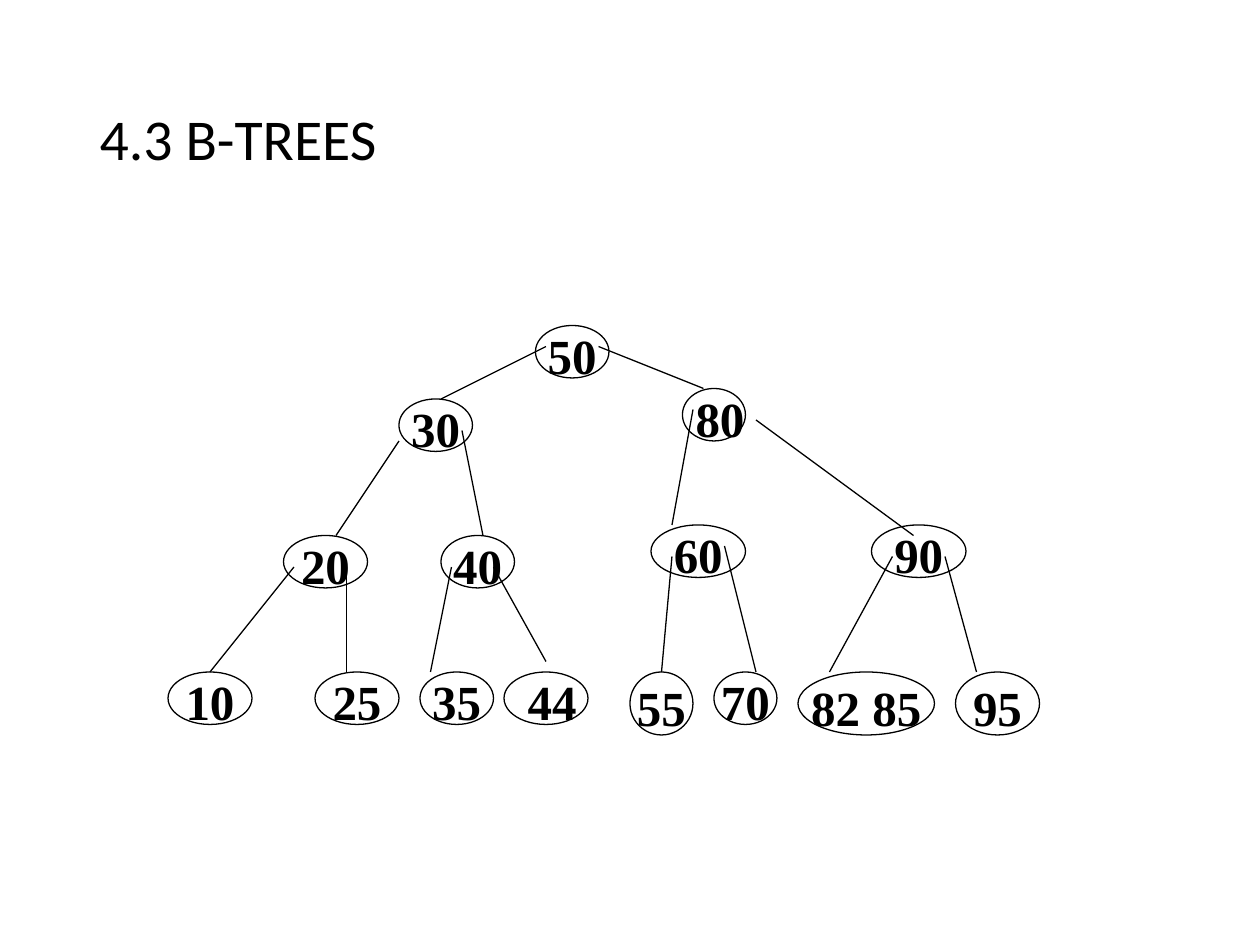
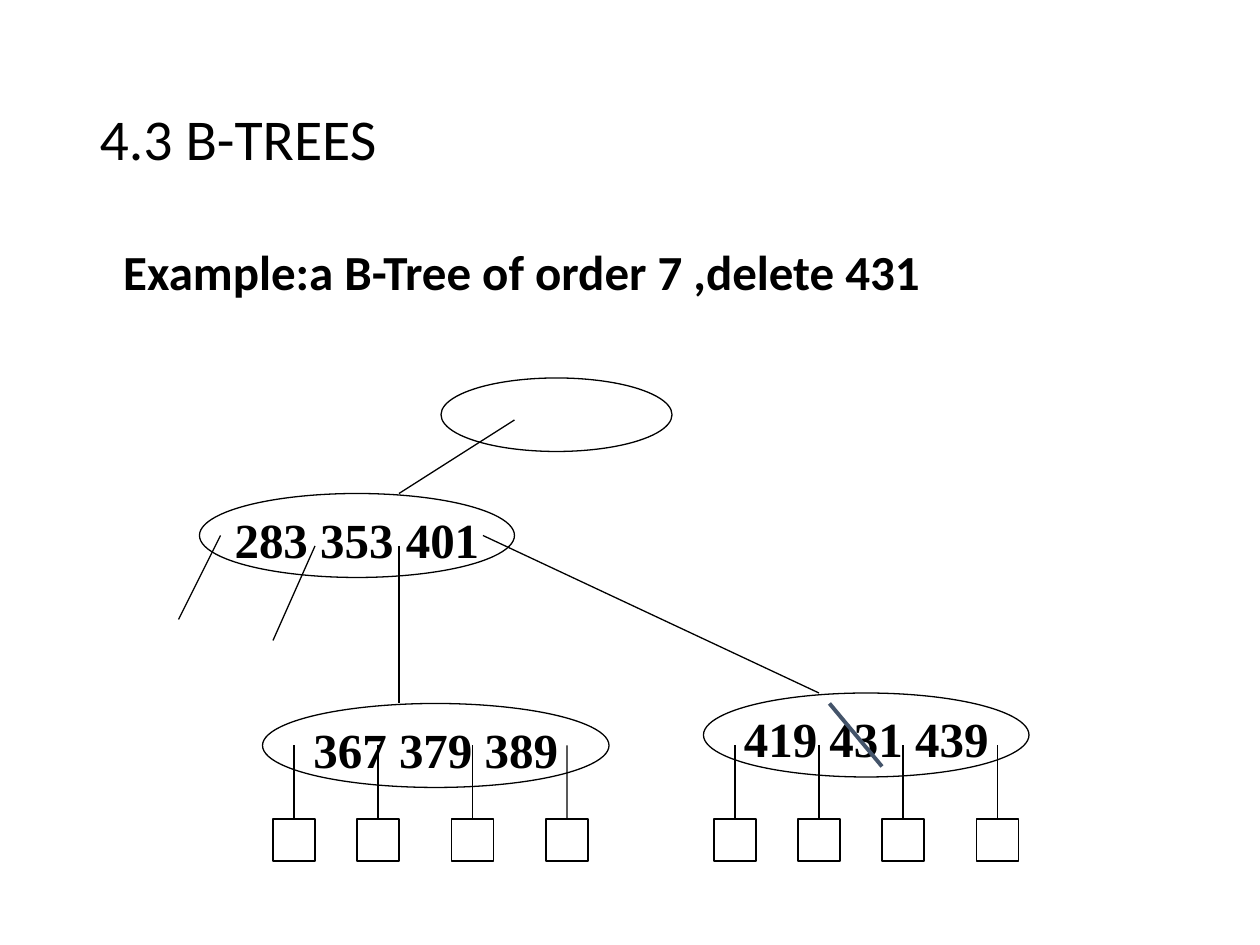
from lxml import etree
from pptx import Presentation
from pptx import util as u
from pptx.dml.color import RGBColor
from pptx.enum import shapes, text
from pptx.oxml.ns import qn

COLORS = {"ink": "000000", "strike": "44546A"}
BODY, SERIF = "Calibri", "Times New Roman"
TITLE = "4.3 B-TREES"


def grid(*vals):
    return [u.Inches(val / 12) for val in vals]


def write(frame, words, font=BODY, size=28, bold=False, color="ink",
          align=text.PP_ALIGN.LEFT, anchor=text.MSO_ANCHOR.MIDDLE,
          wrap=True, space=1.0):
    frame.auto_size = text.MSO_AUTO_SIZE.NONE
    frame.word_wrap = wrap
    frame.vertical_anchor = anchor
    para = frame.paragraphs[0]
    para.alignment = align
    para.line_spacing = space
    run = para.add_run()
    run.text = words
    run.font.name = font
    run.font.size = u.Pt(size)
    run.font.bold = bold
    run.font.color.rgb = RGBColor.from_string(COLORS[color])


class Deck:
    def __init__(self):
        self.prs = Presentation()
        self.prs.slide_width = u.Inches(10)
        self.prs.slide_height = u.Inches(7.5)
        self.slide = None

    def page(self, title):
        self.slide = self.prs.slides.add_slide(self.prs.slide_layouts[5])
        head = self.slide.shapes.title
        head.left, head.top = u.Inches(0.69), u.Inches(0.4)
        head.width, head.height = u.Inches(8.63), u.Inches(1.45)
        write(head.text_frame, title, size=33, space=0.9)

    def stroke(self, line, color="ink", width=0.75):
        line.color.rgb = RGBColor.from_string(COLORS[color])
        line.width = u.Pt(width)

    def shape(self, kind, *place):
        item = self.slide.shapes.add_shape(kind, *grid(*place))
        item.shadow.inherit = False
        item.fill.background()
        self.stroke(item.line)
        return item

    def node(self, words, *place):
        oval = self.shape(shapes.MSO_SHAPE.OVAL, *place)
        if words:
            frame = oval.text_frame
            frame.margin_top = u.Inches(0.1)
            frame.margin_bottom = u.Inches(0.05)
            write(frame, words, font=SERIF, bold=True, wrap=False,
                  align=text.PP_ALIGN.CENTER)

    def box(self, mid, top, side=4):
        return self.shape(shapes.MSO_SHAPE.RECTANGLE,
                          mid - side / 2, top, side, side)

    def link(self, *ends, color="ink", width=0.75):
        line = self.slide.shapes.add_connector(
            shapes.MSO_CONNECTOR.STRAIGHT, *grid(*ends))
        self.stroke(line.line, color, width)
        etree.SubElement(line._element.spPr, qn("a:effectLst"))
        return line

    def label(self, words, left, top, width, height):
        area = self.slide.shapes.add_textbox(
            u.Inches(left), u.Inches(top), u.Inches(width), u.Inches(height))
        write(area.text_frame, words, bold=True, space=0.9,
              anchor=text.MSO_ANCHOR.TOP)

    def tree(self, nodes, links):
        for node in nodes:
            self.node(*node)
        for ends in links:
            self.link(*ends)


def draw_full(deck):
    deck.page(TITLE)
    nodes = [
        ("50", 51, 31, 7, 5),
        ("30", 38, 38, 7, 5), (" 80", 65, 37, 6, 5),
        ("20", 27, 51, 8, 5), ("40", 42, 51, 7, 5),
        ("60", 62, 50, 9, 5), ("90", 83, 50, 9, 5),
    ]
    leaves = [
        ("10", 16, 8, 5), ("25", 30, 8, 5), ("35", 40, 7, 5),
        (" 44", 48, 8, 5), ("55", 60, 6, 6), ("70", 68, 6, 5),
        ("82 85", 76, 13, 6), ("95", 91, 8, 6),
    ]
    nodes += [(key, left, 64, wide, high) for key, left, wide, high in leaves]
    links = [
        (52, 33, 42, 38), (57, 33, 67, 37),
        (38, 42, 32, 51), (44, 41, 46, 51),
        (66, 39, 64, 50), (72, 40, 87, 51),
        (28, 54, 20, 64), (33, 54, 33, 64),
        (43, 54, 41, 64), (47, 54, 52, 63),
        (64, 53, 63, 64), (69, 52, 72, 64),
        (85, 53, 79, 64), (90, 53, 93, 64),
    ]
    deck.tree(nodes, links)


def draw_delete(deck):
    deck.page(TITLE)
    deck.label("Example:a B-Tree of order 7 ,delete 431", 0.88, 1.92, 8.37, 0.6)
    nodes = [
        ("", 42, 36, 22, 7),
        ("283 353 401", 19, 47, 30, 8),
        ("367 379 389", 25, 67, 33, 8),
        ("419 431 439", 67, 66, 31, 8),
    ]
    links = [
        (49, 40, 38, 47), (21, 51, 17, 59), (30, 52, 26, 61),
        (38, 52, 38, 67), (46, 51, 78, 66),
    ]
    deck.tree(nodes, links)
    for mid in (28, 36, 45, 54, 70, 78, 86, 95):
        box = deck.box(mid, 78)
        deck.link(mid, 71, mid, 78).end_connect(box, 0)
    deck.link(79, 67, 84, 73, color="strike", width=2.25)


def main():
    deck = Deck()
    draw_full(deck)
    draw_delete(deck)
    deck.prs.save("out.pptx")


if __name__ == "__main__":
    main()
